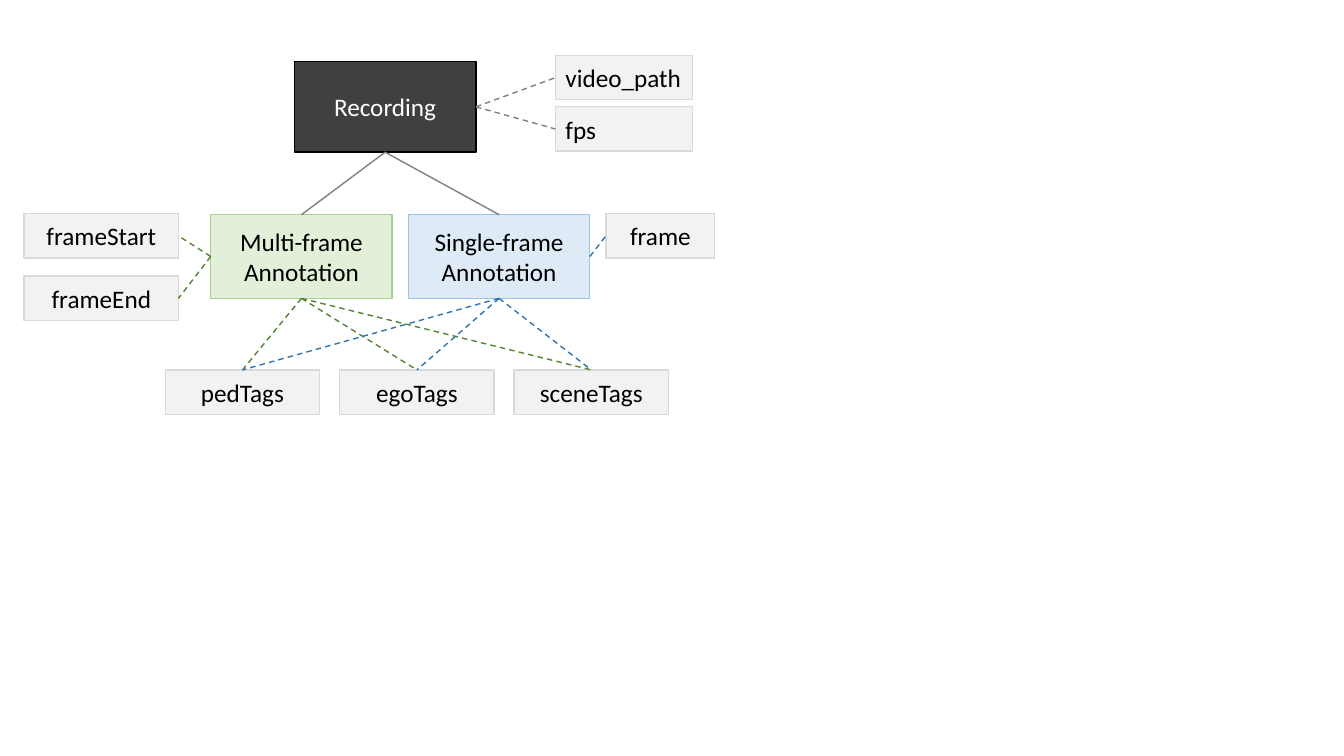
from lxml import etree
from pptx import Presentation
from pptx.dml.color import RGBColor
from pptx.enum.dml import MSO_LINE
from pptx.enum.shapes import MSO_CONNECTOR, MSO_SHAPE
from pptx.enum.text import MSO_ANCHOR, PP_ALIGN
from pptx.oxml.ns import qn
from pptx.util import Inches, Pt

GREY, GREEN, BLUE = "808080", "548235", "2E75B6"
TOP, LEFT, BOTTOM, RIGHT = range(4)


def paint(color_format, color):
    color_format.rgb = RGBColor.from_string(color)


deck = Presentation()
deck.slide_width, deck.slide_height = Inches(13.33), Inches(7.5)
page = deck.slides.add_slide(deck.slide_layouts[6])

# Entities: text, left, top, width, height, fill, outline, font colour
entities = [
    ("Multi-frame Annotation", 2.09, 2.13, 1.8, 0.83, "E2F0D9", "A9D18E", "000000"),
    ("Single-frame Annotation", 4.05, 2.13, 1.8, 0.83, "DEEBF7", "9DC3E6", "000000"),
    ("Recording", 2.92, 0.61, 1.8, 0.9, "404040", "000000", "FFFFFF"),
]

# Attributes: text, left, top, width
attributes = [
    ("video_path", 5.51, 0.55, 1.36),
    ("fps", 5.51, 1.06, 1.36),
    ("frameStart", 0.24, 2.12, 1.53),
    ("frameEnd", 0.24, 2.74, 1.53),
    ("frame", 6.01, 2.12, 1.08),
]
tags = ["pedTags", "egoTags", "sceneTags"]
attributes += [(tag, 1.64 + 1.73 * i, 3.67, 1.53) for i, tag in enumerate(tags)]
entities += [(*attribute, 0.44, "F2F2F2", "D9D9D9", "000000") for attribute in attributes]

boxes = {}
for text, left, top, width, height, fill, outline, font_color in entities:
    box = page.shapes.add_shape(
        MSO_SHAPE.RECTANGLE, Inches(left), Inches(top), Inches(width), Inches(height))
    box.shadow.inherit = False
    box.fill.solid()
    paint(box.fill.fore_color, fill)
    paint(box.line.color, outline)
    box.line.width = Pt(1)
    frame = box.text_frame
    frame.word_wrap = True
    frame.vertical_anchor = MSO_ANCHOR.MIDDLE
    para = frame.paragraphs[0]
    para.alignment = PP_ALIGN.LEFT if text in ("video_path", "fps") else PP_ALIGN.CENTER
    span = para.add_run()
    span.text = text
    span.font.name = "Calibri"
    span.font.size = Pt(18)
    paint(span.font.color, font_color)
    boxes[text] = box

# Links: start box, its side, end box, its side, colour, dashed
multi, single = "Multi-frame Annotation", "Single-frame Annotation"
links = [
    ("Recording", RIGHT, "video_path", LEFT, GREY, True),
    ("Recording", RIGHT, "fps", LEFT, GREY, True),
    ("Recording", BOTTOM, multi, TOP, GREY, False),
    ("Recording", BOTTOM, single, TOP, GREY, False),
    (multi, LEFT, "frameStart", RIGHT, GREEN, True),
    (multi, LEFT, "frameEnd", RIGHT, GREEN, True),
    (single, RIGHT, "frame", LEFT, BLUE, True),
]
for annotation, color in ((multi, GREEN), (single, BLUE)):
    links += [(annotation, BOTTOM, tag, TOP, color, True) for tag in tags]

for start, start_side, end, end_side, color, dashed in links:
    link = page.shapes.add_connector(MSO_CONNECTOR.STRAIGHT, 0, 0, 0, 0)
    link.begin_connect(boxes[start], start_side)
    link.end_connect(boxes[end], end_side)
    paint(link.line.color, color)
    link.line.width = Pt(1)
    if dashed:
        link.line.dash_style = MSO_LINE.DASH
    etree.SubElement(link._element.spPr, qn("a:effectLst"))

deck.save("out.pptx")
